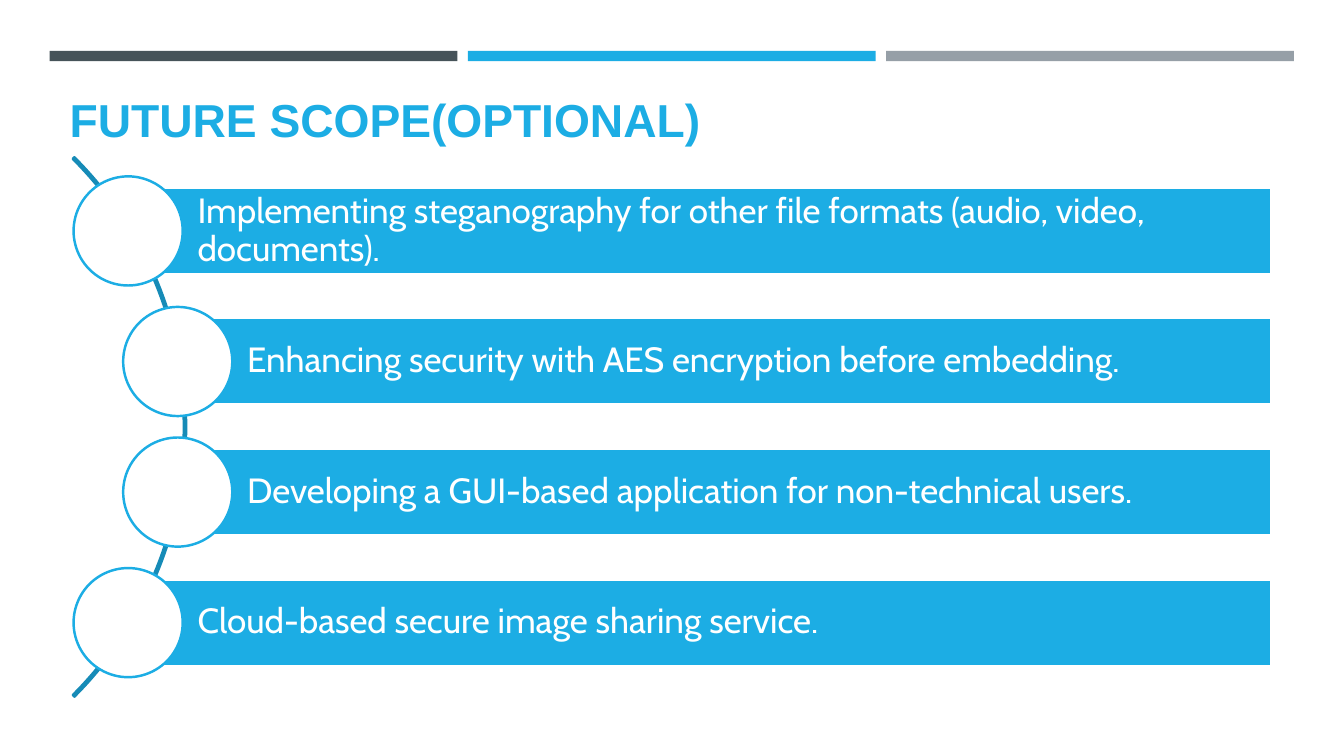
from pptx import Presentation
from pptx import util as u
from pptx.dml.color import RGBColor
from pptx.enum import shapes, text

BLUE, DEEP_BLUE, SLATE, GREY, WHITE = "1CADE4", "168BB7", "465359", "969FA7", "FFFFFF"


def color(hex_value):
    return RGBColor.from_string(hex_value)


def apply(target, values):
    for name, value in values.items():
        setattr(target, name, value)


class ScopeSlide:
    line_width = u.Pt(1.75)
    heading_font = {"name": "Arial", "size": u.Pt(33), "bold": True}
    item_font = {"name": "Cabin", "size": u.Pt(25), "bold": False}
    item_frame = {
        "word_wrap": True,
        "vertical_anchor": text.MSO_ANCHOR.MIDDLE,
        "margin_left": u.Cm(1.75),
        "margin_right": u.Cm(0.18),
        "margin_top": u.Cm(0.18),
        "margin_bottom": u.Cm(0.18),
    }
    heading_frame = {
        "word_wrap": True,
        "auto_size": text.MSO_AUTO_SIZE.NONE,
        "vertical_anchor": text.MSO_ANCHOR.BOTTOM,
    }

    def __init__(self, deck):
        self.slide = deck.slides.add_slide(deck.slide_layouts[5])

    def wording(self, frame, words, frame_format, font_format, ink, spacing):
        apply(frame, frame_format)
        frame.text = words
        paragraph = frame.paragraphs[0]
        apply(paragraph, {"alignment": text.PP_ALIGN.LEFT, "line_spacing": spacing})
        font = paragraph.runs[0].font
        apply(font, font_format)
        font.color.rgb = color(ink)

    def heading(self, words, left, top, width, height):
        title = self.slide.shapes.title
        apply(title, {"left": u.Cm(left), "top": u.Cm(top),
                      "width": u.Cm(width), "height": u.Cm(height)})
        self.wording(title.text_frame, words, self.heading_frame,
                     self.heading_font, BLUE, 0.8)

    def figure(self, preset, left, top, width, height, fill=None, line=None):
        figure = self.slide.shapes.add_shape(
            preset, u.Cm(left), u.Cm(top), u.Cm(width), u.Cm(height))
        figure.shadow.inherit = False
        if fill:
            figure.fill.solid()
            figure.fill.fore_color.rgb = color(fill)
        else:
            figure.fill.background()
        if line:
            figure.line.color.rgb = color(line)
            figure.line.width = self.line_width
        else:
            figure.line.fill.background()
        return figure

    def stripe(self, left, top, width, height, fill):
        self.figure(shapes.MSO_SHAPE.RECTANGLE, left, top, width, height, fill)

    def curve(self, center_x, center_y, radius):
        curve = self.figure(shapes.MSO_SHAPE.BLOCK_ARC, center_x - radius,
                            center_y - radius, 2 * radius, 2 * radius, line=DEEP_BLUE)
        for index, value in enumerate((189, 27, 0.003)):
            curve.adjustments[index] = value

    def item(self, words, left, right, middle, height, diameter):
        bar = self.figure(shapes.MSO_SHAPE.RECTANGLE, left, middle - height / 2,
                          right - left, height, BLUE, WHITE)
        self.wording(bar.text_frame, words, self.item_frame, self.item_font, WHITE, 0.9)
        self.figure(shapes.MSO_SHAPE.OVAL, left - diameter / 2, middle - diameter / 2,
                    diameter, diameter, WHITE, BLUE)


def main():
    deck = Presentation()
    apply(deck, {"slide_width": u.Cm(33.87), "slide_height": u.Cm(19.05)})
    scope = ScopeSlide(deck)

    for column, fill in enumerate((SLATE, BLUE, GREY)):
        scope.stripe(1.25 + 10.54 * column, 1.28, 10.28, 0.26, fill)

    scope.heading("FUTURE SCOPE(OPTIONAL)", 1.5, 2.34, 30.63, 1.47)

    scope.curve(-4.92, 10.76, 9.61)
    plans = (
        ("Implementing steganography for other file formats (audio, video, documents).", 3.23),
        ("Enhancing security with AES encryption before embedding.", 4.48),
        ("Developing a GUI-based application for non-technical users.", 4.48),
        ("Cloud-based secure image sharing service.", 3.23),
    )
    for row, (plan, left) in enumerate(plans):
        scope.item(plan, left, 32.04, 5.82 + 3.29 * row, 2.18, 2.75)

    deck.save("out.pptx")


if __name__ == "__main__":
    main()
